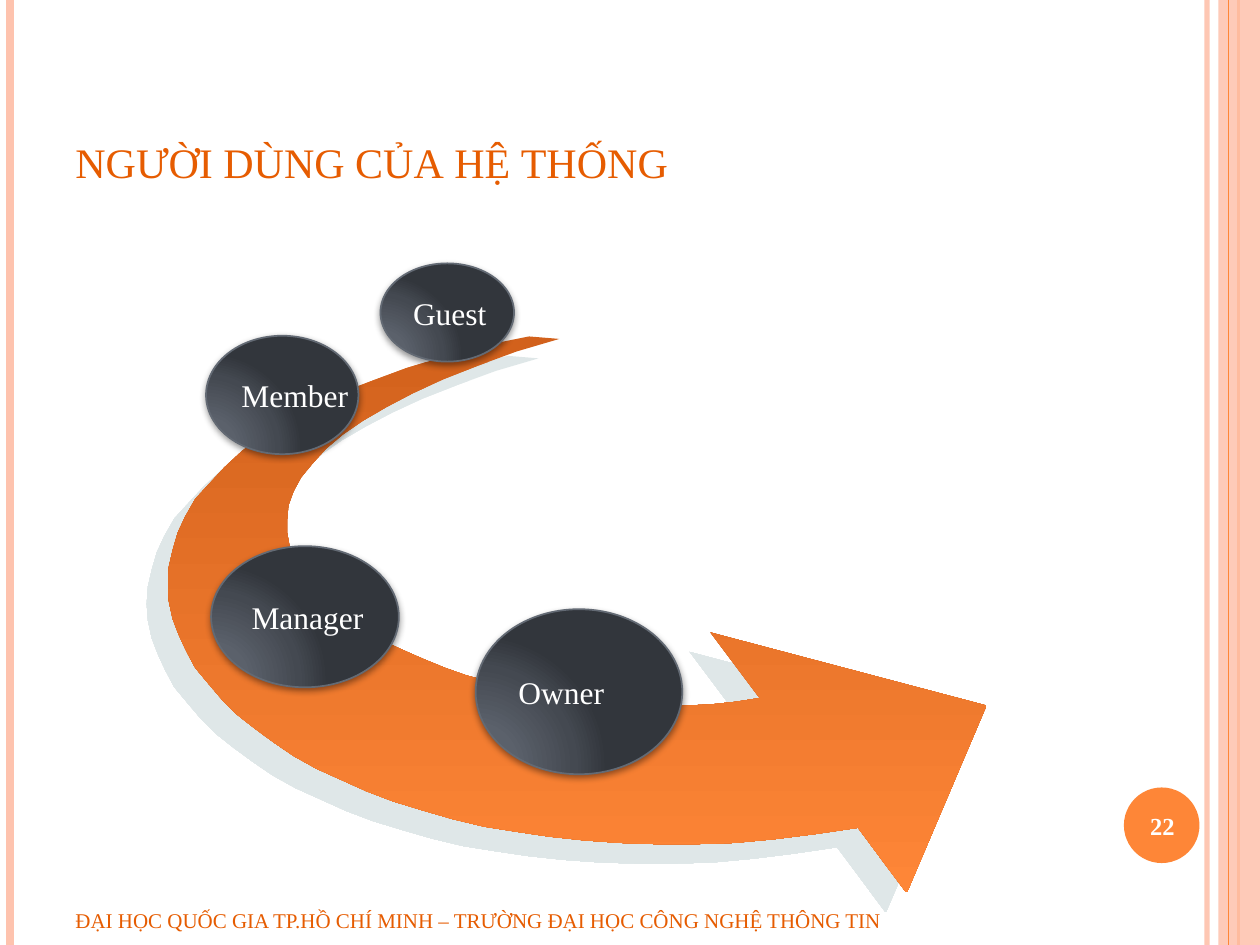
import pptx
import pptx.dml.color
import pptx.enum.shapes
import pptx.enum.text
import pptx.oxml
import pptx.oxml.ns
import pptx.util

PX = 9144  # EMU in one px, 100 px to the inch
FONT = "Times New Roman"
ORANGE, PEACH, RUST, WHITE = "FE8637", "FEC3AE", "E65C01", "FFFFFF"
SHAPE = pptx.enum.shapes.MSO_SHAPE
ALIGN = pptx.enum.text.PP_ALIGN
ANCHOR = pptx.enum.text.MSO_ANCHOR

# Arrow outline, clockwise from its tail: outer curve, head, inner curve
OUTER = [
    (420, 267), (385, 274), (353, 283), (323, 292), (296, 302), (270, 312),
    (247, 323), (227, 334), (208, 346), (192, 358), (178, 371), (166, 384),
    (155, 396), (147, 410), (141, 423), (137, 437), (134, 450), (133, 464),
    (134, 477), (137, 491), (142, 504), (148, 517), (155, 530), (165, 542),
    (176, 555), (188, 567), (202, 578), (217, 589), (233, 600), (251, 610),
    (271, 619), (291, 628), (312, 636), (335, 643), (359, 650), (384, 656),
    (409, 660), (436, 664), (464, 667), (492, 669), (522, 670), (552, 670),
    (583, 669), (615, 666), (647, 662), (681, 657)]
HEAD = [(719, 708), (720, 708), (783, 560), (564, 502), (603, 554)]
INNER = [
    (584, 557), (565, 559), (545, 560), (526, 561), (506, 560), (486, 559),
    (466, 557), (446, 554), (427, 551), (407, 546), (389, 541), (370, 536),
    (353, 530), (336, 523), (320, 516), (305, 509), (291, 501), (278, 492),
    (267, 483), (256, 474), (247, 464), (240, 454), (234, 444), (230, 434),
    (228, 423), (228, 412), (229, 401), (233, 390), (239, 379), (248, 368),
    (259, 356), (272, 345), (288, 334), (307, 323), (328, 312), (352, 301),
    (380, 290), (410, 279), (444, 269)]

# Name, centre x, centre y, width, height, sideways shift of the text
ROLES = [
    ("Owner", 459.5, 549, 164, 131, -14),
    ("Manager", 242, 489.5, 149, 112, 2),
    ("Member", 224, 313.5, 121, 94, 10),
    ("Guest", 355, 248, 106, 78, 2),
]


def px(n):
    return pptx.util.Emu(round(n * PX))


def rgb(color):
    return pptx.dml.color.RGBColor.from_string(color)


def xml(text):
    return pptx.oxml.parse_xml(text.replace(">", " %s>" % pptx.oxml.ns.nsdecls("a"), 1))


def set_alpha(fill, percent):
    clr = fill._xPr.find(".//" + pptx.oxml.ns.qn("a:srgbClr"))
    clr.append(xml(f'<a:alpha val="{percent * 1000}"></a:alpha>'))


def set_gradient(sp, stops, direction):
    sp.fill.gradient()
    grad = sp._element.spPr.find(pptx.oxml.ns.qn("a:gradFill"))
    for child in list(grad):
        grad.remove(child)
    gs = "".join(f'<a:gs pos="{pos * 1000}"><a:srgbClr val="{c}"/></a:gs>' for pos, c in stops)
    grad.append(xml(f"<a:gsLst>{gs}</a:gsLst>"))
    grad.append(xml(direction))


def set_shadow(sp, color, alpha, blur, dist, angle):
    sp.shadow.inherit = False
    effects = sp._element.spPr.find(pptx.oxml.ns.qn("a:effectLst"))
    effects.append(xml(
        f'<a:outerShdw blurRad="{round(blur * 12700)}" dist="{round(dist * 12700)}" '
        f'dir="{angle * 60000}" algn="ctr" rotWithShape="0"><a:srgbClr val="{color}">'
        f'<a:alpha val="{alpha * 1000}"/></a:srgbClr></a:outerShdw>'))


def write(sp, text, size, color, align=ALIGN.LEFT, small_caps=False, bold=False, **frame):
    tf = sp.text_frame
    for name, value in {"word_wrap": True, "vertical_anchor": ANCHOR.MIDDLE, **frame}.items():
        setattr(tf, name, value)
    p = tf.paragraphs[0]
    p.alignment = align
    r = p.add_run()
    r.text = text
    for name, value in {"name": FONT, "size": pptx.util.Pt(size), "bold": bold}.items():
        setattr(r.font, name, value)
    r.font.color.rgb = rgb(color)
    if small_caps:
        r._r.get_or_add_rPr().set("cap", "small")


def add_text(slide, box, *args, **fmt):
    write(slide.shapes.add_textbox(*map(px, box)), *args, **fmt)


def add_stripe(slide, x, color, width, alpha=100):
    kind = pptx.enum.shapes.MSO_CONNECTOR.STRAIGHT
    line = slide.shapes.add_connector(kind, px(x), 0, px(x), px(750))
    line.line.width = pptx.util.Pt(width)
    line.line.color.rgb = rgb(color)
    if alpha < 100:
        set_alpha(line.line.fill, alpha)
    line._element.spPr.append(xml("<a:effectLst></a:effectLst>"))


def add_plain(slide, kind, box, color, alpha=100):
    sp = slide.shapes.add_shape(kind, *map(px, box))
    sp.shadow.inherit = False
    sp.fill.solid()
    sp.fill.fore_color.rgb = rgb(color)
    sp.line.fill.background()
    if alpha < 100:
        set_alpha(sp.fill, alpha)


def add_arrow(slide):
    points = OUTER + HEAD + INNER
    builder = slide.shapes.build_freeform(*points[0], scale=PX)
    builder.add_line_segments(points[1:], close=True)
    sp = builder.convert_to_shape()
    sp.line.fill.background()
    set_gradient(sp, [(0, "D2611C"), (100, ORANGE)], '<a:lin ang="5400000" scaled="0"></a:lin>')
    set_shadow(sp, "C1D1D3", 50, 0, 16.3, 137)


def add_role(slide, name, cx, cy, w, h, shift):
    sp = slide.shapes.add_shape(SHAPE.OVAL, px(cx - w / 2), px(cy - h / 2), px(w), px(h))
    set_gradient(
        sp, [(0, "5E656F"), (30, "5B616B"), (75, "444951"), (100, "32363C")],
        '<a:path path="circle"><a:fillToRect l="5000" t="100000" r="120000" b="10000"/></a:path>')
    sp.line.color.rgb = rgb("636A74")
    sp.line.width = pptx.util.Pt(1)
    set_shadow(sp, "000000", 42, 4, 1.6, 90)
    write(sp, name, 18, WHITE, ALIGN.CENTER, word_wrap=False,
          margin_left=px(max(2 * shift, 0)), margin_right=px(max(-2 * shift, 0)))


def main():
    prs = pptx.Presentation()
    prs.slide_width, prs.slide_height = px(1000), px(750)
    slide = prs.slides.add_slide(prs.slide_layouts[6])

    # Side decoration
    add_stripe(slide, 958, PEACH, 3, 93)
    add_stripe(slide, 8, PEACH, 4.5)
    add_stripe(slide, 983, ORANGE, 1.5)
    add_plain(slide, SHAPE.RECTANGLE, (967, 0, 33, 750), PEACH, 87)
    add_stripe(slide, 975, ORANGE, 0.75)
    add_plain(slide, SHAPE.OVAL, (892, 625, 60, 60), ORANGE)

    # Title, page number and footer
    add_text(slide, (50, 30, 817, 125), "người dùng của hệ thống", 30, RUST,
             small_caps=True, vertical_anchor=ANCHOR.BOTTOM)
    add_text(slide, (889, 627, 67, 57), "22", 14, WHITE, ALIGN.CENTER, bold=True)
    add_text(slide, (50, 710, 775, 40),
             "ĐẠI HỌC QUỐC GIA TP.HỒ CHÍ MINH – TRƯỜNG ĐẠI HỌC CÔNG NGHỆ THÔNG TIN", 12, RUST)

    # Arrow with the user roles along it
    add_arrow(slide)
    for role in ROLES:
        add_role(slide, *role)

    prs.save("out.pptx")


if __name__ == "__main__":
    main()
